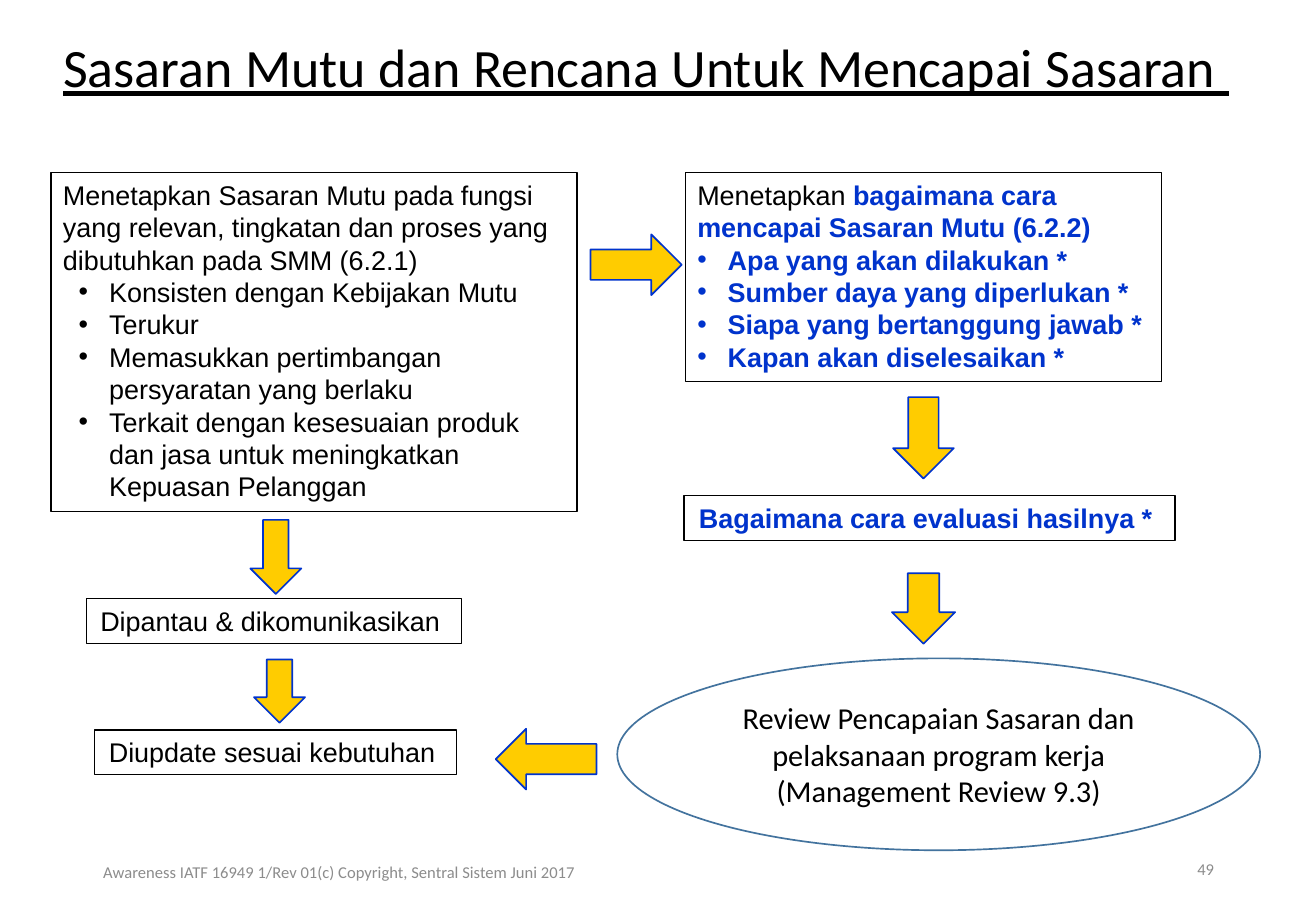
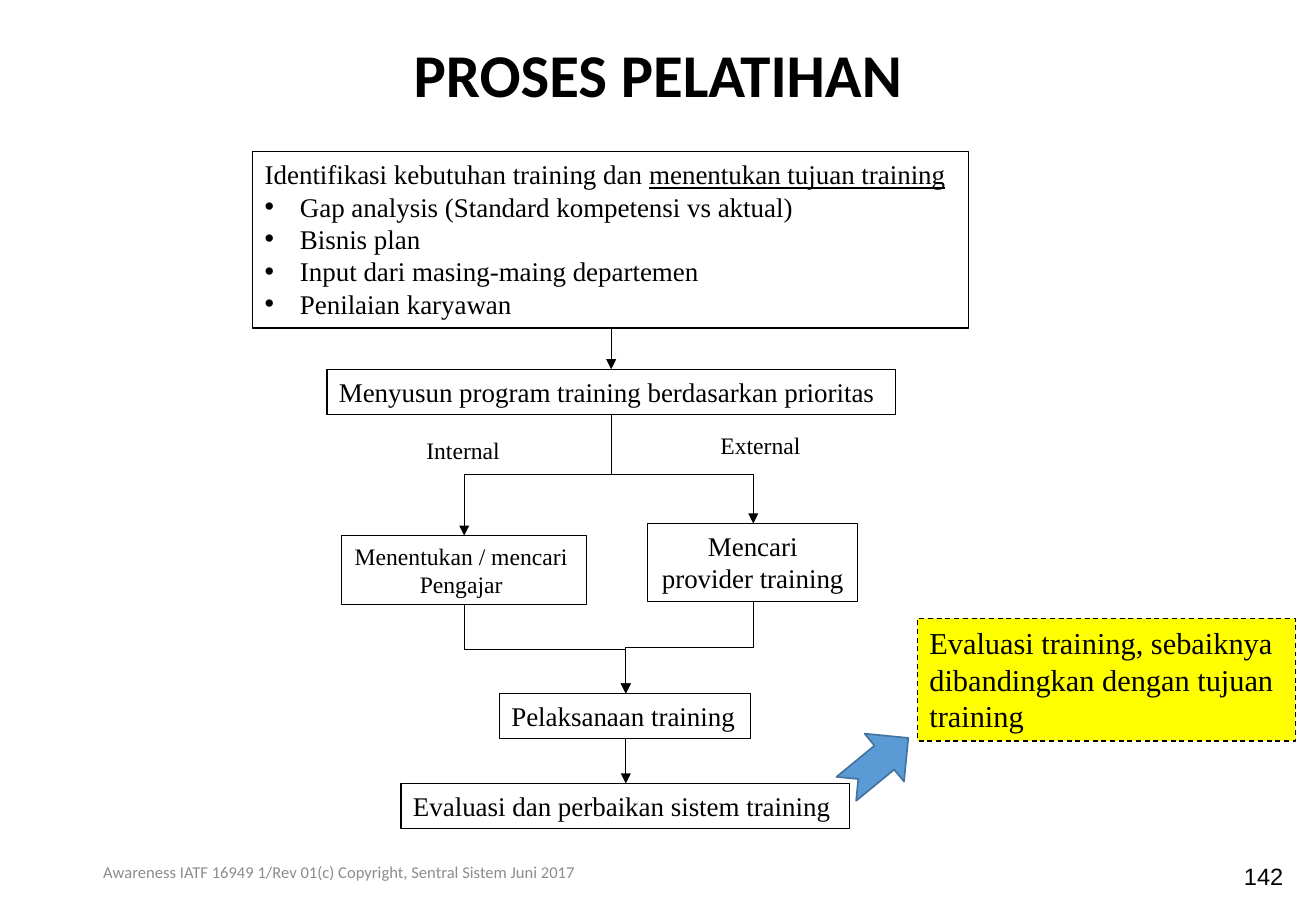
from dataclasses import dataclass
from typing import NamedTuple, Optional

from lxml.etree import SubElement
from pptx import Presentation
from pptx.dml.color import RGBColor
from pptx.enum.dml import MSO_LINE
from pptx.enum.shapes import MSO_CONNECTOR, MSO_SHAPE
from pptx.enum.text import MSO_ANCHOR, MSO_AUTO_SIZE, PP_ALIGN
from pptx.oxml.ns import qn
from pptx.presentation import Presentation as Deck
from pptx.slide import Slide
from pptx.text.text import TextFrame
from pptx.util import Inches, Pt


# Theme
@dataclass(frozen=True)
class Theme:
    black: str = "000000"
    blue: str = "0033CC"
    gold: str = "FFCC00"
    yellow: str = "FFFF00"
    grey: str = "8C8C8C"
    sky: str = "5B9BD5"
    steel: str = "43739E"
    sans: str = "Arial"
    heading: str = "Calibri"
    serif: str = "Times New Roman"
    body: float = 16
    label: float = 14
    callout: float = 18
    footer: float = 9.8


T = Theme()
FOOTER = "Awareness IATF 16949 1/Rev 01(c) Copyright, Sentral Sistem Juni 2017"


class Rect(NamedTuple):
    left: float
    top: float
    width: float
    height: float


class Point(NamedTuple):
    x: float
    y: float


class Run(NamedTuple):
    text: str
    color: str = T.black
    bold: bool = False
    underline: bool = False


class Para(NamedTuple):
    runs: tuple[Run, ...]
    left: float = 0
    hang: float = 0


@dataclass(frozen=True)
class Box:
    at: Rect
    paras: list[Para]
    font: str = T.sans
    size: float = T.body
    align: PP_ALIGN = PP_ALIGN.LEFT
    anchor: MSO_ANCHOR = MSO_ANCHOR.TOP
    kind: MSO_SHAPE = MSO_SHAPE.RECTANGLE
    wrap: bool = False
    grow: bool = True
    fill: Optional[str] = None
    line: Optional[str] = T.black
    weight: float = 0.75
    dashed: bool = False


class Arrow(NamedTuple):
    kind: MSO_SHAPE
    at: Rect
    fill: str = T.gold
    line: str = T.blue
    rotation: float = 0


class Link(NamedTuple):
    start: Point
    end: Point
    bend: float = 0.5


def rgb(color: str) -> RGBColor:
    return RGBColor.from_string(color)


def plain(*texts: str, color: str = T.black, bold: bool = False) -> list[Para]:
    return [Para((Run(t, color, bold),)) for t in texts]


def bullets(left: float, hang: float, *texts: str, color: str = T.black,
            bold: bool = False) -> list[Para]:
    return [Para(p.runs, left, hang) for p in plain(*texts, color=color, bold=bold)]


# Drawing
def write(tf: TextFrame, paras: list[Para], font: str, size: float,
          align: PP_ALIGN, spacing: Optional[float] = None) -> None:
    for i, para in enumerate(paras):
        p = tf.add_paragraph() if i else tf.paragraphs[0]
        p.alignment = align
        if spacing:
            p.line_spacing = spacing
        if para.hang:
            pPr = p._p.get_or_add_pPr()
            pPr.set("marL", str(Inches(para.left)))
            pPr.set("indent", str(-Inches(para.hang)))
            SubElement(pPr, qn("a:buFont")).set("typeface", T.sans)
            SubElement(pPr, qn("a:buChar")).set("char", "•")
        for run in para.runs:
            r = p.add_run()
            r.text = run.text
            r.font.name, r.font.size = font, Pt(size)
            r.font.bold, r.font.underline = run.bold, run.underline
            r.font.color.rgb = rgb(run.color)


def draw_box(s: Slide, box: Box) -> None:
    at = [Inches(v) for v in box.at]
    if box.line:
        sp = s.shapes.add_shape(box.kind, *at)
        sp.shadow.inherit = False
        sp.line.color.rgb = rgb(box.line)
        sp.line.width = Pt(box.weight)
        if box.dashed:
            sp.line.dash_style = MSO_LINE.DASH
    else:
        sp = s.shapes.add_textbox(*at)
    if box.fill:
        sp.fill.solid()
        sp.fill.fore_color.rgb = rgb(box.fill)
    else:
        sp.fill.background()
    tf = sp.text_frame
    tf.word_wrap = box.wrap
    tf.auto_size = MSO_AUTO_SIZE.SHAPE_TO_FIT_TEXT if box.grow else MSO_AUTO_SIZE.NONE
    tf.vertical_anchor = box.anchor
    write(tf, box.paras, box.font, box.size, box.align)


def draw_arrow(s: Slide, arrow: Arrow) -> None:
    sp = s.shapes.add_shape(arrow.kind, *(Inches(v) for v in arrow.at))
    sp.shadow.inherit = False
    sp.rotation = arrow.rotation
    sp.fill.solid()
    sp.fill.fore_color.rgb = rgb(arrow.fill)
    sp.line.color.rgb = rgb(arrow.line)
    sp.line.width = Pt(1)


def draw_link(s: Slide, link: Link) -> None:
    (x1, y1), (x2, y2) = link.start, link.end
    bent = x1 != x2
    kind = MSO_CONNECTOR.ELBOW if bent else MSO_CONNECTOR.STRAIGHT
    ends = (x1, y1, x2, y2)
    if bent:
        # A downward elbow is a sideways one turned about its centre
        cx, cy = (x1 + x2) / 2, (y1 + y2) / 2
        half_w, half_h = (y2 - y1) / 2, abs(x2 - x1) / 2
        ends = (cx - half_w, cy - half_h, cx + half_w, cy + half_h)
    c = s.shapes.add_connector(kind, *(Inches(v) for v in ends))
    c.line.color.rgb = rgb(T.black)
    c.line.width = Pt(0.5)
    spPr = c._element.spPr
    if bent:
        xfrm = spPr.find(qn("a:xfrm"))
        xfrm.set("rot", str((270 if x2 > x1 else 90) * 60000))
        if x2 > x1:
            xfrm.set("flipH", "1")
        gd = SubElement(spPr.find(qn("a:prstGeom")).find(qn("a:avLst")), qn("a:gd"))
        gd.set("name", "adj1")
        gd.set("fmla", f"val {round(link.bend * 100000)}")
    SubElement(spPr.find(qn("a:ln")), qn("a:tailEnd")).set("type", "triangle")
    SubElement(spPr, qn("a:effectLst"))


def new_slide(prs: Deck, title: Run, at: Rect, size: float, align: PP_ALIGN,
              number: Box) -> Slide:
    s = prs.slides.add_slide(prs.slide_layouts[5])
    sp = s.shapes.title
    sp.left, sp.top, sp.width, sp.height = (Inches(v) for v in at)
    tf = sp.text_frame
    tf.word_wrap = True
    tf.auto_size = MSO_AUTO_SIZE.NONE
    tf.vertical_anchor = MSO_ANCHOR.MIDDLE
    write(tf, [Para((title,))], T.heading, size, align, 0.9)
    draw_box(s, note(Rect(0.33, 6.98, 4.92, 0.4), FOOTER, PP_ALIGN.CENTER))
    draw_box(s, number)
    return s


def note(at: Rect, text: str, align: PP_ALIGN, font: str = T.heading,
         size: float = T.footer, color: str = T.grey) -> Box:
    return Box(at, plain(text, color=color), font, size, align, MSO_ANCHOR.MIDDLE,
               wrap=True, grow=False, line=None)


# Slide: quality objectives
def objectives_slide(prs: Deck) -> None:
    s = new_slide(prs, Run("Sasaran Mutu dan Rencana Untuk Mencapai Sasaran ", underline=True),
                  Rect(0.42, 0, 10.09, 1.16), 32, PP_ALIGN.LEFT,
                  note(Rect(7.65, 6.95, 2.44, 0.4), "49", PP_ALIGN.RIGHT))
    center = PP_ALIGN.CENTER
    how = Para((Run("Menetapkan "),
                Run("bagaimana cara mencapai Sasaran Mutu (6.2.2)", T.blue, True)))
    boxes = [
        Box(Rect(0.42, 1.42, 4.33, 2.79), plain(
            "Menetapkan Sasaran Mutu pada fungsi yang relevan, tingkatan dan proses yang "
            "dibutuhkan pada SMM (6.2.1)") + bullets(
            0.38, 0.25, "Konsisten dengan Kebijakan Mutu", "Terukur",
            "Memasukkan pertimbangan persyaratan yang berlaku",
            "Terkait dengan kesesuaian produk dan jasa untuk meningkatkan Kepuasan Pelanggan"),
            wrap=True),
        Box(Rect(5.64, 1.42, 3.92, 1.72), [how] + bullets(
            0.25, 0.25, "Apa yang akan dilakukan *", "Sumber daya yang diperlukan *",
            "Siapa yang bertanggung jawab *", "Kapan akan diselesaikan *",
            color=T.blue, bold=True), wrap=True),
        Box(Rect(0.71, 4.93, 3.09, 0.37), plain("Dipantau & dikomunikasikan "), align=center),
        Box(Rect(0.78, 6.01, 2.98, 0.37), plain("Diupdate sesuai kebutuhan "), align=center),
        Box(Rect(5.63, 4.08, 4.04, 0.37), plain(
            "Bagaimana cara evaluasi hasilnya * ", color=T.blue, bold=True), align=center),
        Box(Rect(5.08, 5.42, 5.29, 1.58), plain(
            "Review Pencapaian Sasaran dan pelaksanaan program kerja",
            "(Management Review 9.3)"), T.heading, T.callout, center, MSO_ANCHOR.MIDDLE,
            MSO_SHAPE.OVAL, wrap=True, grow=False, line=T.steel, weight=1),
    ]
    for box in boxes:
        draw_box(s, box)
    down = MSO_SHAPE.DOWN_ARROW
    for arrow in (
        Arrow(MSO_SHAPE.RIGHT_ARROW, Rect(4.86, 1.93, 0.75, 0.5)),
        Arrow(down, Rect(2.06, 4.28, 0.42, 0.61)),
        Arrow(down, Rect(2.09, 5.43, 0.42, 0.52)),
        Arrow(down, Rect(7.35, 3.27, 0.5, 0.67)),
        Arrow(down, Rect(7.34, 4.72, 0.52, 0.58)),
        Arrow(MSO_SHAPE.LEFT_ARROW, Rect(4.08, 6, 0.83, 0.5)),
    ):
        draw_arrow(s, arrow)


# Slide: training process
def training_slide(prs: Deck) -> None:
    s = new_slide(prs, Run("PROSES PELATIHAN", bold=True), Rect(0.81, 0.02, 9.21, 1.25),
                  36, PP_ALIGN.CENTER, note(Rect(5.74, 7.01, 4.92, 0.4), "142",
                                            PP_ALIGN.RIGHT, T.sans, T.label, T.black))
    center = PP_ALIGN.CENTER
    needs = Para((Run("Identifikasi kebutuhan training dan "),
                  Run("menentukan tujuan training", underline=True)))
    boxes = [
        Box(Rect(2.08, 1.25, 5.89, 1.45), [needs] + bullets(
            0.29, 0.29, "Gap analysis (Standard kompetensi vs aktual)", "Bisnis plan",
            "Input dari masing-maing departemen", "Penilaian karyawan"), T.serif),
        Box(Rect(2.69, 3.04, 4.68, 0.37),
            plain("Menyusun program training berdasarkan prioritas"), T.serif),
        Box(Rect(4.11, 5.71, 2.07, 0.37), plain("Pelaksanaan training"), T.serif),
        Box(Rect(3.3, 6.45, 3.69, 0.37),
            plain("Evaluasi dan perbaikan sistem training"), T.serif),
        Box(Rect(3.41, 3.54, 0.82, 0.34), plain("Internal"), T.serif, T.label, line=None),
        Box(Rect(5.83, 3.5, 0.87, 0.34), plain("External"), T.serif, T.label, line=None),
        Box(Rect(2.81, 4.41, 2.02, 0.57), plain("Menentukan / mencari ", "Pengajar "),
            T.serif, T.label, center),
        Box(Rect(5.33, 4.31, 1.73, 0.64), plain("Mencari provider training"),
            T.serif, align=center, wrap=True),
        Box(Rect(7.55, 5.09, 3.11, 1.01), plain(
            "Evaluasi training, sebaiknya", "dibandingkan dengan tujuan", "training"),
            T.serif, T.callout, wrap=True, fill=T.yellow, dashed=True),
    ]
    program, delivery = Point(5.03, 3.41), Point(5.15, 5.71)
    for link in (
        Link(Point(5.03, 2.7), Point(5.03, 3.04)),
        Link(program, Point(6.2, 4.31), 0.55),
        Link(program, Point(3.82, 4.41)),
        Link(Point(3.82, 4.98), delivery),
        Link(Point(6.2, 4.95), delivery),
        Link(Point(5.15, 6.08), Point(5.15, 6.45)),
    ):
        draw_link(s, link)
    draw_arrow(s, Arrow(MSO_SHAPE.NOTCHED_RIGHT_ARROW, Rect(6.89, 6.03, 0.66, 0.51),
                        T.sky, T.steel, 320.6))
    for box in boxes:
        draw_box(s, box)


def main() -> None:
    prs = Presentation()
    prs.slide_width, prs.slide_height = Inches(10.83), Inches(7.5)
    objectives_slide(prs)
    training_slide(prs)
    prs.save("out.pptx")


if __name__ == "__main__":
    main()
